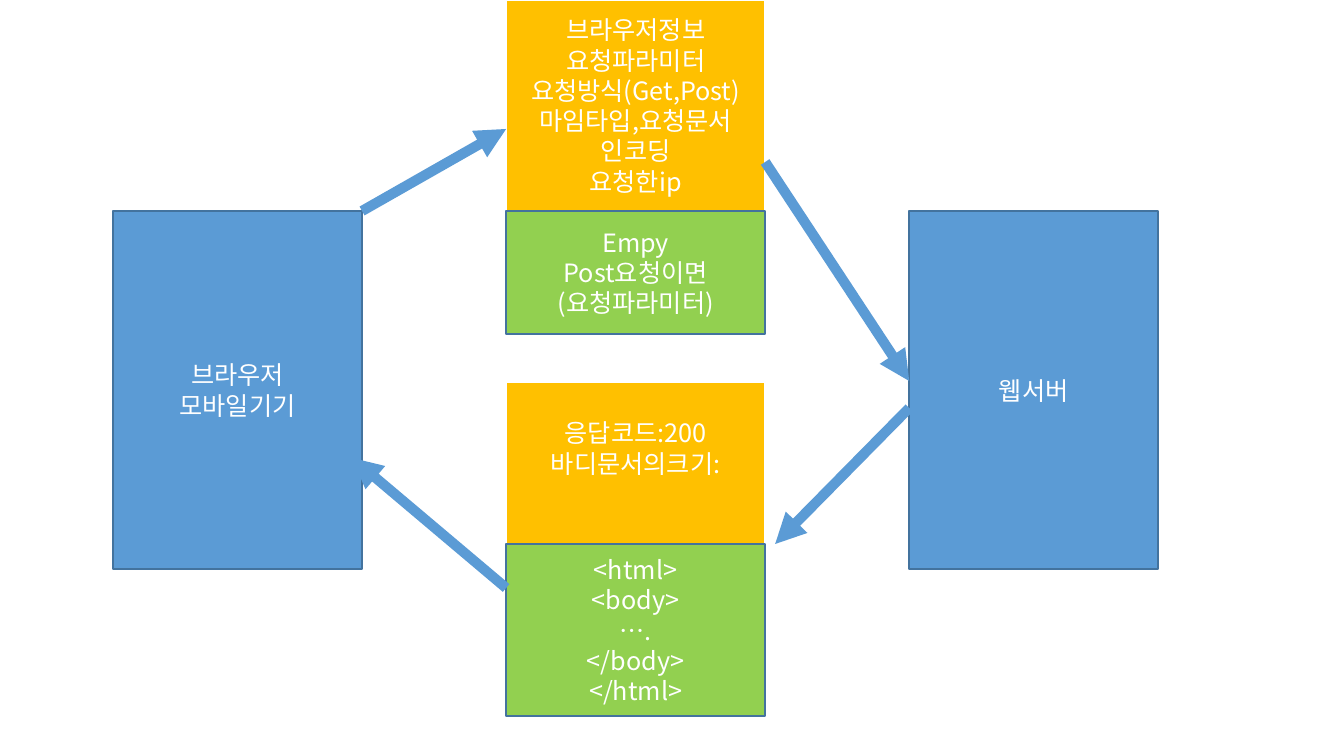
from lxml import etree
from pptx import Presentation
from pptx.dml.color import RGBColor
from pptx.enum.shapes import MSO_CONNECTOR as CONN, MSO_SHAPE as SHAPE
from pptx.enum.text import MSO_ANCHOR as ANCHOR, PP_ALIGN as ALIGN
from pptx.oxml.ns import qn
from pptx.util import Inches, Pt

BLUE = RGBColor(0x5B, 0x9B, 0xD5)
NAVY = RGBColor(0x43, 0x73, 0x9E)
AMBER = RGBColor(0xFF, 0xC0, 0x00)
GREEN = RGBColor(0x92, 0xD0, 0x50)
WHITE = RGBColor(0xFF, 0xFF, 0xFF)
FONT = "Noto Sans CJK KR"


def px(n):
    return round(n * Inches(1) / 100.8)


prs = Presentation()
prs.slide_width, prs.slide_height = Inches(13.33), Inches(7.5)
s = prs.slides.add_slide(prs.slide_layouts[6])

# Column edges and widths
BROWSER_X, MESSAGE_X, SERVER_X = 113, 506, 909
END_W, MESSAGE_W = 249, 259
BROWSER_R, MESSAGE_R = BROWSER_X + END_W, MESSAGE_X + MESSAGE_W
END_Y, END_H = 211, 358
LINE_H = 30

# Browser, server, and the header and body of request and response
# (left, top, width, height, fill, line colour, line width, bottom inset, lines)
boxes = [
    (BROWSER_X, END_Y, END_W, END_H, BLUE, NAVY, 1, 5, ["브라우저", "모바일기기"]),
    (SERVER_X, END_Y, END_W, END_H, BLUE, NAVY, 1, 5, ["웹서버"]),
    (MESSAGE_X, 0, MESSAGE_W, 211, AMBER, WHITE, 1.5, 5,
     ["브라우저정보", "요청파라미터", "요청방식(Get,Post)",
      "마임타입,요청문서", "인코딩", "요청한ip"]),
    (MESSAGE_X, 211, MESSAGE_W, 123, GREEN, NAVY, 1, 5,
     ["Empy", "Post요청이면", "(요청파라미터)"]),
    (MESSAGE_X, 382, MESSAGE_W, 162, AMBER, WHITE, 1.5, 5 + LINE_H,
     ["응답코드:200", "바디문서의크기:"]),
    (MESSAGE_X, 544, MESSAGE_W, 172, GREEN, NAVY, 1, 5,
     ["<html>", "<body>", "….", "</body>", "</html>"]),
]
for x, y, w, h, fill, line, line_w, inset, lines in boxes:
    sp = s.shapes.add_shape(SHAPE.RECTANGLE, px(x), px(y), px(w), px(h))
    sp.shadow.inherit = False
    sp.fill.solid()
    sp.fill.fore_color.rgb = fill
    sp.line.color.rgb = line
    sp.line.width = Pt(line_w)
    tf = sp.text_frame
    frame_format = {"word_wrap": True, "vertical_anchor": ANCHOR.MIDDLE,
                    "margin_bottom": px(inset)}
    for name, value in frame_format.items():
        setattr(tf, name, value)
    for i, text in enumerate(lines):
        p = tf.paragraphs[0] if i == 0 else tf.add_paragraph()
        p.alignment = ALIGN.CENTER
        r = p.add_run()
        r.text = text
        for name, value in {"size": Pt(18), "name": FONT}.items():
            setattr(r.font, name, value)
        r.font.color.rgb = WHITE
        etree.SubElement(r.font._element, qn("a:ea"), typeface=FONT)

# Arrows: browser to request to server to response to browser
arrows = [
    (BROWSER_R, END_Y, MESSAGE_X, 129),
    (MESSAGE_R, 162, SERVER_X, 381),
    (SERVER_X, 408, 775, 544),
    (MESSAGE_X, 588, 352, 458),
]
for ends in arrows:
    cn = s.shapes.add_connector(CONN.STRAIGHT, *[px(n) for n in ends])
    cn.line.color.rgb = BLUE
    cn.line.width = Pt(7.25)
    etree.SubElement(cn.line._get_or_add_ln(), qn("a:tailEnd"), type="triangle")
    etree.SubElement(cn._element.spPr, qn("a:effectLst"))

prs.save("out.pptx")
